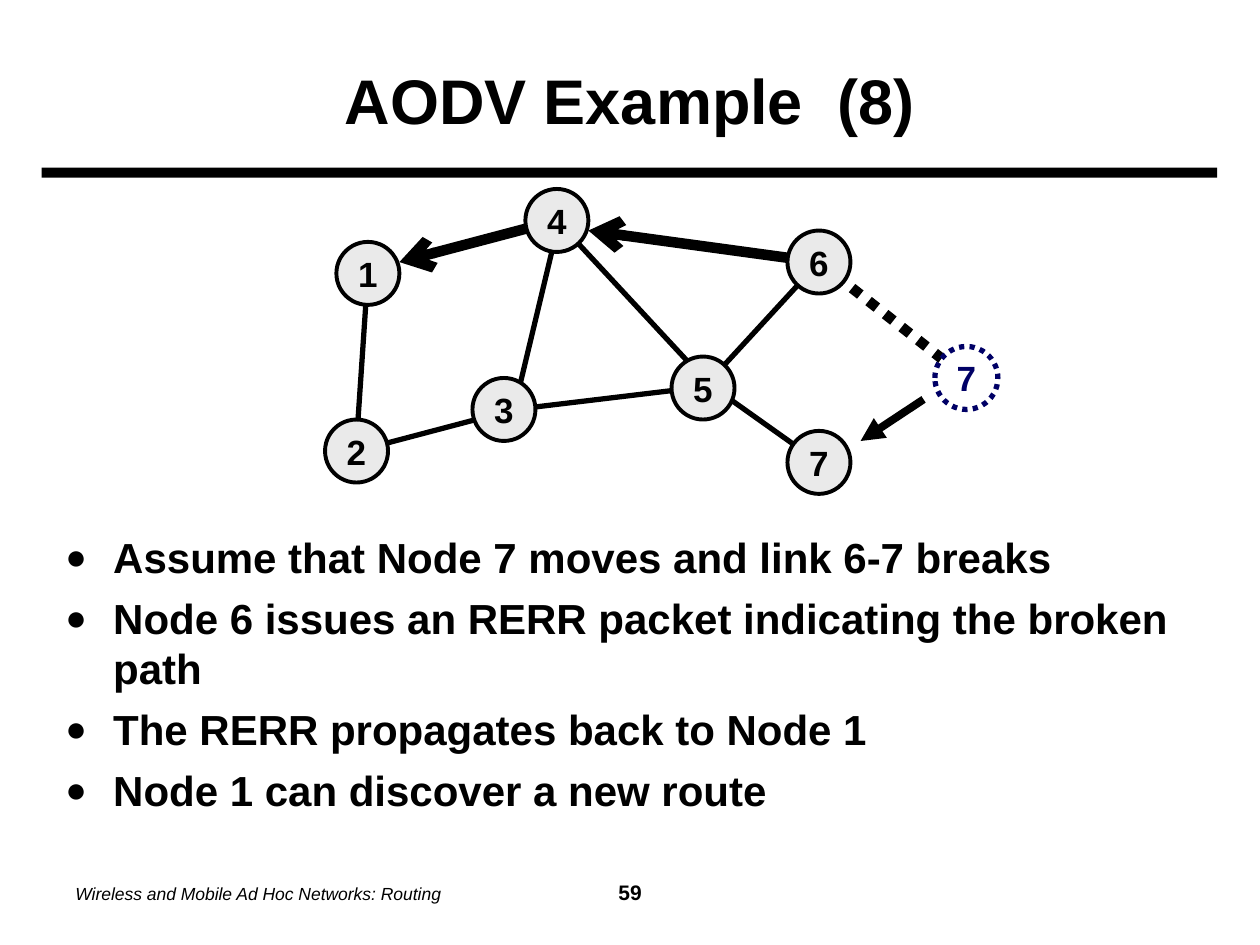
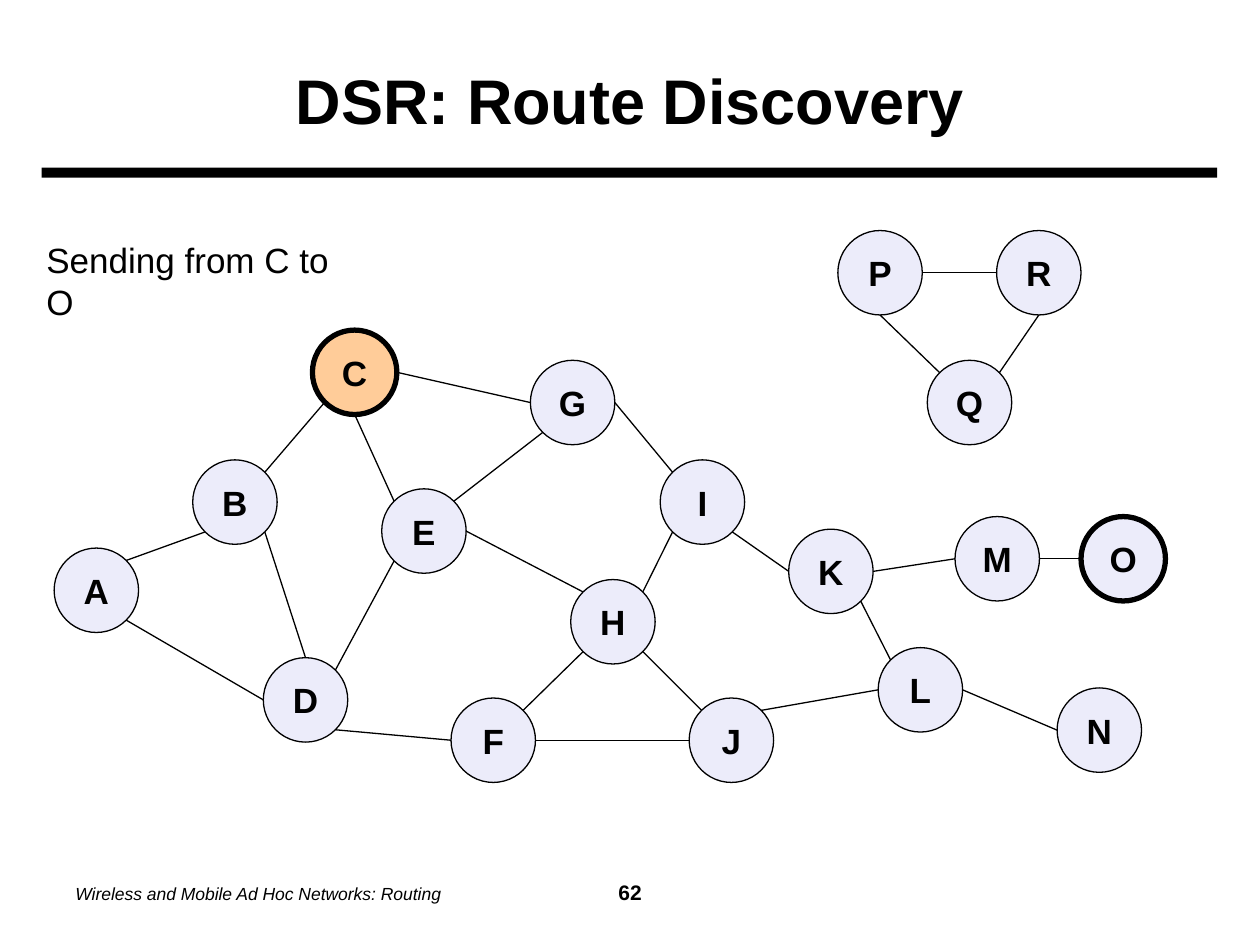
from dataclasses import dataclass
from math import sqrt
from typing import Optional

from lxml import etree
from pptx import Presentation
from pptx import util as u
from pptx.dml.color import RGBColor
from pptx.enum import dml, shapes, text
from pptx.oxml import ns


@dataclass(frozen=True)
class Theme:
    font: str = "Arial"
    ink: str = "000000"
    paper: str = "FFFFFF"
    gray: str = "EAEAEA"
    lilac: str = "ECECFA"
    peach: str = "FFCC99"
    navy: str = "000066"
    title: float = 36
    body: float = 24
    label: float = 20
    page: float = 12
    footer: float = 10


@dataclass(frozen=True)
class Node:
    name: str
    x: float
    y: float
    size: float = 0.67
    fill: str = Theme.lilac
    color: str = Theme.ink
    width: float = 0.75
    dotted: bool = False

    def site(self, side: str) -> tuple[float, float]:
        dx, dy = SITES[side]
        r = self.size / 2
        return self.x + r + r * dx, self.y + r + r * dy


@dataclass(frozen=True)
class Link:
    x1: float
    y1: float
    x2: float
    y2: float
    width: float = 3
    arrow: Optional[str] = None
    dotted: bool = False


T = Theme()
DIAGONAL = 1 / sqrt(2)
SITES = {
    "n": (0, -1), "s": (0, 1), "w": (-1, 0), "e": (1, 0),
    "nw": (-DIAGONAL, -DIAGONAL), "ne": (DIAGONAL, -DIAGONAL),
    "sw": (-DIAGONAL, DIAGONAL), "se": (DIAGONAL, DIAGONAL),
}
FOOTER = "Wireless and Mobile Ad Hoc Networks: Routing"

AODV_POINTS = [
    "Assume that Node 7 moves and link 6-7 breaks",
    "Node 6 issues an RERR packet indicating the broken path",
    "The RERR propagates back to Node 1",
    "Node 1 can discover a new route",
]
AODV_LINKS = [
    Link(5.67, 3.08, 6.5, 3.67),
    Link(2.92, 2.17, 2.83, 3.5),
    Link(4.42, 1.75, 5.58, 3),
    Link(2.83, 3.58, 4.08, 3.25),
    Link(4.42, 1.75, 3.17, 2.08, 6, "arrow"),
    Link(4.42, 1.83, 4.08, 3.25),
    Link(4.08, 3.25, 5.5, 3.08),
    Link(6.5, 2.08, 4.67, 1.83, 6, "arrow"),
    Link(6.5, 2.08, 7.67, 3, 6, dotted=True),
    Link(6.5, 2.08, 5.58, 3.08),
]
AODV_MOVE = Link(7.33, 3.17, 6.83, 3.5, 4.5, "triangle")
AODV_NODES = [
    Node(name, x, y, 0.5, T.gray, width=2.25)
    for name, x, y in [
        ("1", 2.67, 1.92), ("4", 4.17, 1.5), ("3", 3.75, 3), ("5", 5.33, 2.83),
        ("2", 2.58, 3.33), ("6", 6.25, 1.83), ("7", 6.25, 3.42),
    ]
] + [Node("7", 7.42, 2.75, 0.5, T.paper, T.navy, 3, True)]

DSR_NODES = [
    Node("A", 0.43, 4.35), Node("B", 1.53, 3.65),
    Node("C", 2.48, 2.62, fill=T.peach, width=3), Node("D", 2.09, 5.22),
    Node("E", 3.03, 3.88), Node("F", 3.58, 5.54), Node("G", 4.21, 2.86),
    Node("H", 4.53, 4.6), Node("I", 5.24, 3.65), Node("J", 5.47, 5.54),
    Node("K", 6.26, 4.2), Node("L", 6.97, 5.14), Node("M", 7.58, 4.1),
    Node("N", 8.39, 5.46), Node("O", 8.58, 4.1, width=3),
    Node("P", 6.65, 1.83), Node("Q", 7.36, 2.86), Node("R", 7.91, 1.83),
]
DSR_LINKS = [
    "A ne B sw", "A se D w", "B se D n", "B ne C sw", "E nw C s", "G w C e",
    "G sw E ne", "H nw E e", "E sw D ne", "F w D se", "H sw F ne", "G e I nw",
    "I sw H ne", "H se J nw", "K w I se", "L w J ne", "L nw K se", "M w K e",
    "N w L e", "O w M e", "P s Q nw", "P e R w", "Q ne R s", "J w F e",
]


def rgb(color: str) -> RGBColor:
    return RGBColor.from_string(color)


def style(font, size: float, color: str = T.ink, bold: bool = False,
          italic: bool = False) -> None:
    font.name, font.size = T.font, u.Pt(size)
    font.bold, font.italic = bold, italic
    font.color.rgb = rgb(color)


def set_line(line, color: str, width: float, dotted: bool) -> None:
    line.color.rgb = rgb(color)
    line.width = u.Pt(width)
    if dotted:
        line.dash_style = dml.MSO_LINE.ROUND_DOT


def add_child(parent, tag: str, **attrs: str):
    return etree.SubElement(parent, ns.qn(tag), attrs)


def add_box(s, x: float, y: float, w: float, h: float):
    tf = s.shapes.add_textbox(*map(u.Inches, (x, y, w, h))).text_frame
    tf.word_wrap = True
    return tf


def add_preset(s, kind, x: float, y: float, w: float, h: float, fill: str):
    sp = s.shapes.add_shape(kind, *map(u.Inches, (x, y, w, h)))
    sp.shadow.inherit = False
    sp.fill.solid()
    sp.fill.fore_color.rgb = rgb(fill)
    return sp


def add_node(s, node: Node) -> None:
    sp = add_preset(s, shapes.MSO_SHAPE.OVAL, node.x, node.y, node.size,
                    node.size, node.fill)
    set_line(sp.line, node.color, node.width, node.dotted)
    tf = sp.text_frame
    tf.word_wrap = False
    tf.vertical_anchor = text.MSO_ANCHOR.MIDDLE
    p = tf.paragraphs[0]
    p.text = node.name
    p.alignment = text.PP_ALIGN.CENTER
    style(p.font, T.label, node.color, bold=True)


def add_link(s, link: Link) -> None:
    ends = map(u.Inches, (link.x1, link.y1, link.x2, link.y2))
    c = s.shapes.add_connector(shapes.MSO_CONNECTOR.STRAIGHT, *ends)
    set_line(c.line, T.ink, link.width, link.dotted)
    if link.arrow:
        add_child(c.line._get_or_add_ln(), "a:tailEnd", type=link.arrow)
    add_child(c._element.spPr, "a:effectLst")


def add_bullets(s, points: list[str]) -> None:
    tf = add_box(s, 0.42, 4.17, 9.08, 2.58)
    for i, point in enumerate(points):
        p = tf.add_paragraph() if i else tf.paragraphs[0]
        p.text = point
        if i:
            p.space_before = u.Pt(6)
        pPr = p._p.get_or_add_pPr()
        pPr.set("marL", str(u.Inches(0.38)))
        pPr.set("indent", str(u.Inches(-0.38)))
        add_child(add_child(pPr, "a:buClr"), "a:srgbClr", val=T.ink)
        add_child(pPr, "a:buSzPct", val="85000")
        add_child(pPr, "a:buFont", typeface=T.font)
        add_child(pPr, "a:buChar", char="●")
        style(p.font, T.body, bold=True)


def add_footer(s, page: int) -> None:
    tf = add_box(s, 0.5, 6.83, 9, 0.5)
    tf.vertical_anchor = text.MSO_ANCHOR.MIDDLE
    p = tf.paragraphs[0]
    tabs = add_child(p._p.get_or_add_pPr(), "a:tabLst")
    add_child(tabs, "a:tab", pos=str(u.Inches(4.38)), algn="ctr")
    r = p.add_run()
    r.text = FOOTER
    style(r.font, T.footer, italic=True)
    r = p.add_run()
    r.text = f"\t {page}"
    style(r.font, T.page, bold=True)


def add_slide(prs, title: str, page: int):
    s = prs.slides.add_slide(prs.slide_layouts[5])
    rule = add_preset(s, shapes.MSO_SHAPE.RECTANGLE, 0.33, 1.33, 9.33, 0.08, T.ink)
    rule.line.fill.background()
    sp = s.shapes.title
    sp.left, sp.top, sp.width, sp.height = map(u.Inches, (0.5, 0.25, 9, 1.08))
    tf = sp.text_frame
    tf.auto_size = text.MSO_AUTO_SIZE.NONE
    tf.word_wrap = True
    tf.vertical_anchor = text.MSO_ANCHOR.MIDDLE
    p = tf.paragraphs[0]
    p.text = title
    p.alignment = text.PP_ALIGN.CENTER
    style(p.font, T.title, bold=True)
    add_footer(s, page)
    return s


def build_aodv(prs) -> None:
    s = add_slide(prs, "AODV Example  (8)", 59)
    add_bullets(s, AODV_POINTS)
    for link in AODV_LINKS:
        add_link(s, link)
    for node in AODV_NODES:
        add_node(s, node)
    add_link(s, AODV_MOVE)


def build_dsr(prs) -> None:
    s = add_slide(prs, "DSR: Route Discovery", 62)
    nodes = {node.name: node for node in DSR_NODES}
    for node in DSR_NODES:
        add_node(s, node)
    for route in DSR_LINKS:
        start, start_side, end, end_side = route.split()
        add_link(s, Link(*nodes[start].site(start_side),
                         *nodes[end].site(end_side), width=0.75))
    p = add_box(s, 0.27, 1.84, 2.73, 0.44).paragraphs[0]
    p.text = "Sending from C to O"
    style(p.font, T.label)


def main() -> None:
    prs = Presentation()
    prs.slide_width, prs.slide_height = u.Inches(10), u.Inches(7.5)
    build_aodv(prs)
    build_dsr(prs)
    prs.save("out.pptx")


if __name__ == "__main__":
    main()
